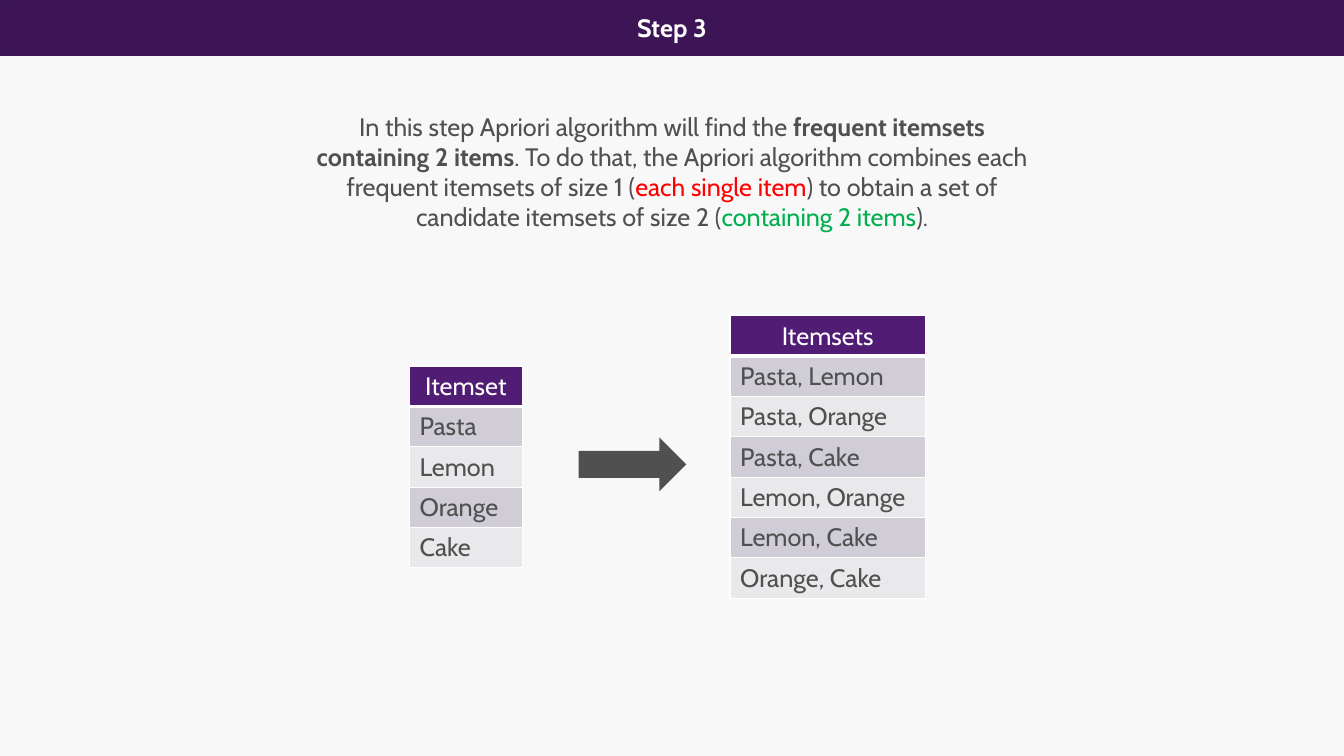
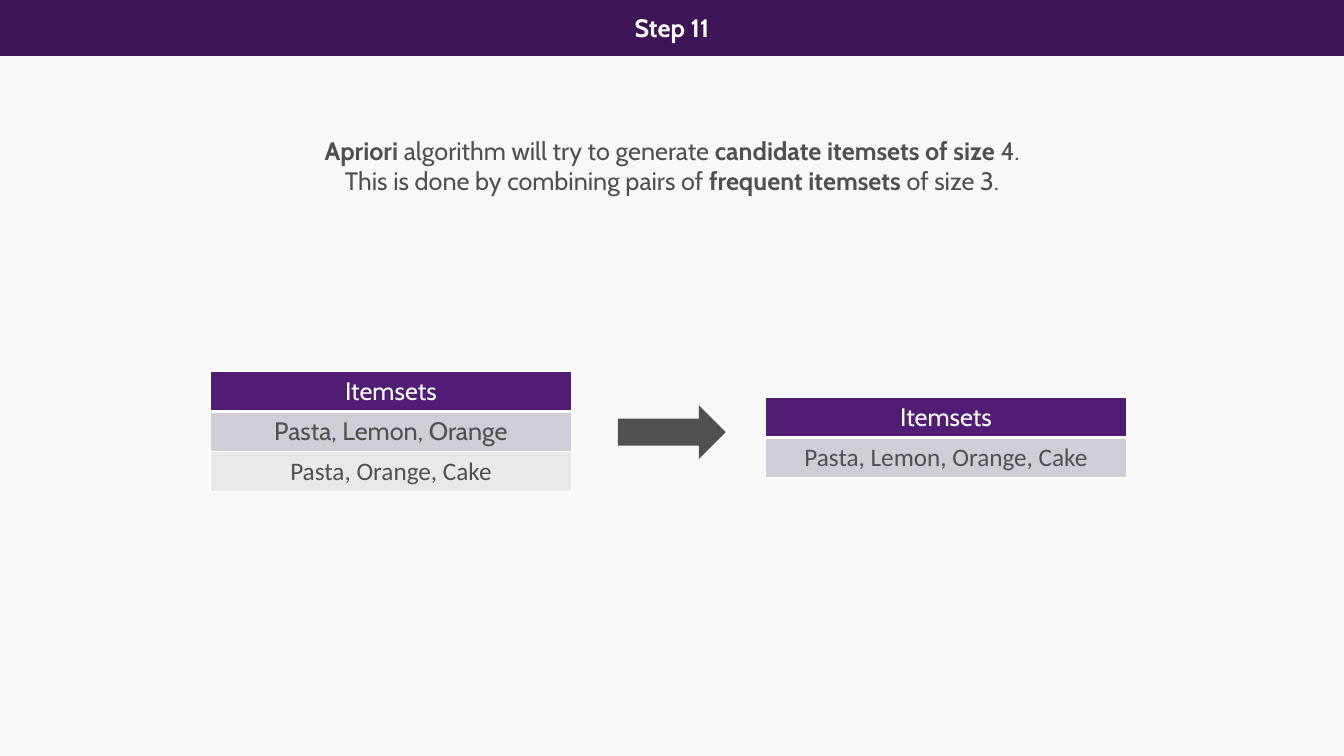
from dataclasses import dataclass

from lxml import etree
from pptx import Presentation
from pptx.dml.color import RGBColor
from pptx.enum import shapes, text
from pptx.oxml import ns
from pptx.util import Pt


@dataclass(frozen=True)
class Theme:
    """Colours, fonts and sizes shared by the slides."""
    page: str = "F8F8F8"
    band: str = "3D1557"
    band_edge: str = "3C1556"
    header: str = "511C74"
    stripes: tuple = ("D0CDD6", "E9E8EB")
    white: str = "FFFFFF"
    ink: str = "505050"
    red: str = "FF0000"
    green: str = "00B050"
    font: str = "Cabin"
    alternate_font: str = "Calibri"
    size: int = 18
    width: int = 960
    height: int = 540
    band_height: float = 39.6
    body_width: int = 530
    row_height: float = 28.8


THEME = Theme()
CENTER = text.PP_ALIGN.CENTER
LEFT = text.PP_ALIGN.LEFT


def write(paragraph, words, color=THEME.ink, bold=False, font=THEME.font, align=CENTER):
    """Append a formatted run to a paragraph."""
    paragraph.alignment = align
    run = paragraph.add_run()
    run.text = words
    run.font.name = font
    run.font.size = Pt(THEME.size)
    run.font.bold = bold
    run.font.color.rgb = RGBColor.from_string(color)


def paint(fill, color):
    """Give a fill one solid colour."""
    fill.solid()
    fill.fore_color.rgb = RGBColor.from_string(color)


def outline(cell, bottom):
    """Draw white borders, placed ahead of the fill, around a cell."""
    properties = cell._tc.get_or_add_tcPr()
    for index, (side, width) in enumerate(dict(lnL=1, lnR=1, lnT=1, lnB=bottom).items()):
        border = etree.Element(ns.qn(f"a:{side}"), w=str(Pt(width)))
        solid = etree.SubElement(border, ns.qn("a:solidFill"))
        etree.SubElement(solid, ns.qn("a:srgbClr"), val=THEME.white)
        properties.insert(index, border)


class Deck:
    """The presentation, its style and the current slide."""

    def __init__(self):
        """Set the page size and background."""
        self.prs = Presentation()
        self.prs.slide_width = Pt(THEME.width)
        self.prs.slide_height = Pt(THEME.height)
        paint(self.prs.slide_master.background.fill, THEME.page)
        self.slide = None

    def shape(self, kind, left, top, width, height, color):
        """Add a flat preset shape without an outline."""
        shape = self.slide.shapes.add_shape(kind, Pt(left), Pt(top), Pt(width), Pt(height))
        shape.shadow.inherit = False
        paint(shape.fill, color)
        shape.line.fill.background()
        return shape

    def step(self, heading):
        """Start a slide with its heading over the top band."""
        self.slide = self.prs.slides.add_slide(self.prs.slide_layouts[5])
        band = self.shape(shapes.MSO_SHAPE.RECTANGLE, 0, 0, THEME.width, THEME.band_height, THEME.band)
        paint(band.line.fill, THEME.band_edge)
        band.line.width = Pt(0.85)
        title = self.slide.shapes.title
        title._element.addprevious(band._element)
        title.left, title.top = Pt((THEME.width - 216) / 2), Pt(0)
        title.width, title.height = Pt(216), Pt(THEME.band_height)
        frame = title.text_frame
        frame.auto_size = text.MSO_AUTO_SIZE.NONE
        frame.vertical_anchor = text.MSO_ANCHOR.MIDDLE
        write(frame.paragraphs[0], heading, color=THEME.white, bold=True)

    def explanation(self, top, height, runs):
        """Add the centred explanation from (words, format) pairs."""
        left = (THEME.width - THEME.body_width) / 2
        box = self.slide.shapes.add_textbox(Pt(left), Pt(top), Pt(THEME.body_width), Pt(height))
        box.text_frame.word_wrap = True
        for words, style in runs:
            write(box.text_frame.paragraphs[0], words, **style)

    def itemsets(self, left, top, width, header, items, align=CENTER, fonts=None):
        """Add a one-column table of itemsets."""
        rows = len(items) + 1
        table = self.slide.shapes.add_table(
            rows, 1, Pt(left), Pt(top), Pt(width), Pt(rows * THEME.row_height)).table
        for index, words in enumerate([header, *items]):
            table.rows[index].height = Pt(THEME.row_height)
            cell = table.cell(index, 0)
            paragraph = cell.text_frame.paragraphs[0]
            if index == 0:
                paint(cell.fill, THEME.header)
                write(paragraph, words, color=THEME.white)
            else:
                paint(cell.fill, THEME.stripes[(index - 1) % 2])
                write(paragraph, words, align=align, font=(fonts or {}).get(words, THEME.font))
            outline(cell, bottom=1 if index else 3)

    def arrow(self, left, top):
        """Add the arrow between two tables."""
        self.shape(shapes.MSO_SHAPE.RIGHT_ARROW, left, top, 77, 38.4, THEME.ink)


def main():
    """Build and save both steps."""
    deck = Deck()
    bold = dict(bold=True)

    deck.step("Step 3")
    deck.explanation(75.6, 94.3, [
        ("In this step Apriori algorithm will find the ", {}),
        ("frequent itemsets containing 2 items", bold),
        (". To do that, the Apriori algorithm combines each frequent itemsets of size 1 (", {}),
        ("each single item", dict(color=THEME.red)),
        (") to obtain a set of candidate itemsets of size 2 (", {}),
        ("containing 2 items", dict(color=THEME.green)),
        (").", {}),
    ])
    deck.itemsets(292.5, 261.5, 80.5, "Itemset", ["Pasta", "Lemon", "Orange", "Cake"], align=LEFT)
    deck.arrow(413.3, 312.5)
    deck.itemsets(521.5, 225.5, 139.5, "Itemsets", [
        "Pasta, Lemon", "Pasta, Orange", "Pasta, Cake",
        "Lemon, Orange", "Lemon, Cake", "Orange, Cake",
    ], align=LEFT)

    deck.step("Step 11")
    deck.explanation(93, 50.4, [
        ("Apriori", bold),
        (" algorithm will try to generate ", {}),
        ("candidate itemsets of size", bold),
        (" 4. This is done by combining pairs of ", {}),
        ("frequent itemsets ", bold),
        ("of size 3.", {}),
    ])
    alternate = dict.fromkeys(
        ["Pasta, Orange, Cake", "Pasta, Lemon, Orange, Cake"], THEME.alternate_font)
    deck.itemsets(150, 265, 258.5, "Itemsets", ["Pasta, Lemon, Orange", "Pasta, Orange, Cake"],
                  fonts=alternate)
    deck.arrow(441.4, 289.5)
    deck.itemsets(546.5, 283.7, 258.5, "Itemsets", ["Pasta, Lemon, Orange, Cake"], fonts=alternate)

    deck.prs.save("out.pptx")


if __name__ == "__main__":
    main()
